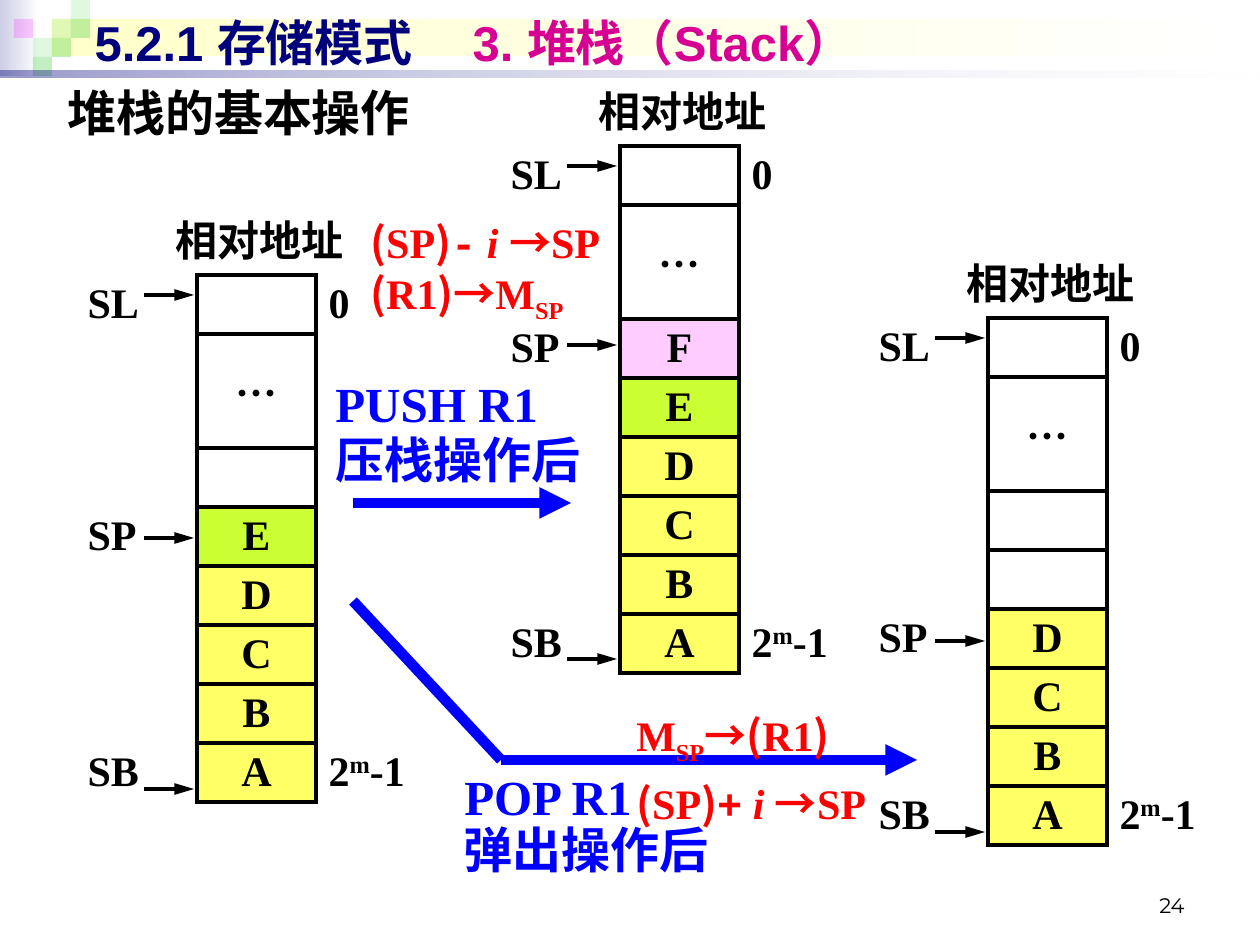
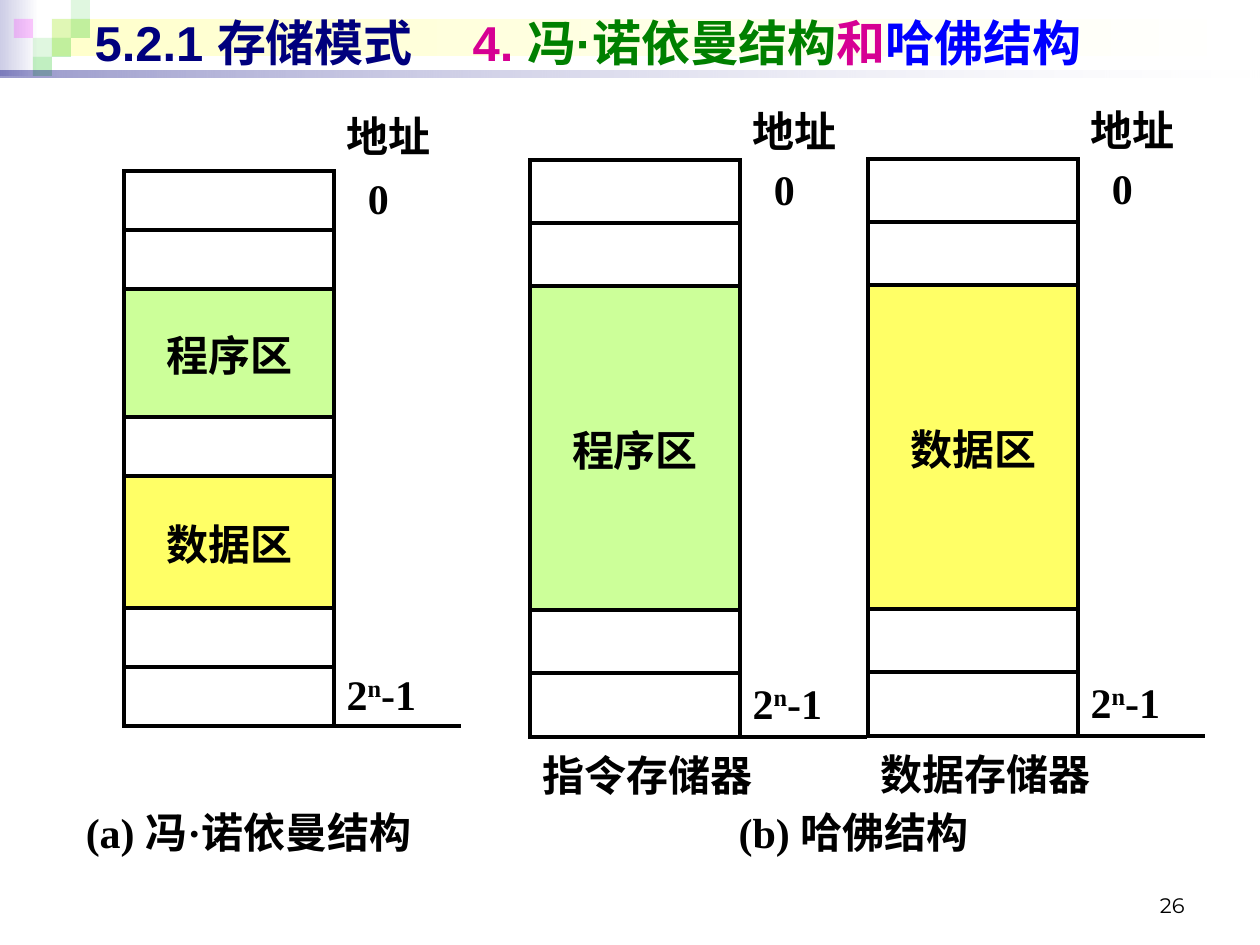
from pptx import Presentation
from lxml import etree
from pptx import util as u
from pptx.dml.color import RGBColor
from pptx.enum import shapes, text
from pptx.oxml import ns

# Palette and fonts
BLACK, WHITE = RGBColor(0, 0, 0), RGBColor(255, 255, 255)
NAVY, MAGENTA = RGBColor(0, 0, 0x7D), RGBColor(0xD6, 0, 0x93)
GREEN, BLUE, RED = RGBColor(0, 0x80, 0), RGBColor(0, 0, 255), RGBColor(255, 0, 0)
LAVENDER, CREAM = RGBColor(0xCD, 0xCD, 0xE6), RGBColor(0xFF, 0xFF, 0xCC)
LEAF, FUCHSIA = RGBColor(0x33, 0xCC, 0x33), RGBColor(255, 0, 255)
YELLOW, LIME = RGBColor(0xFF, 0xFF, 0x66), RGBColor(0xCC, 0xFF, 0x33)
PINK, MINT = RGBColor(0xFF, 0xCC, 0xFF), RGBColor(0xCC, 0xFF, 0x99)
TIMES, ARIAL, NOTO = "Times New Roman", "Arial", "Noto Sans CJK SC"
COURIER, MONTSERRAT = "Courier New", "Montserrat"
NO_STYLE = "{2D5ABB26-0587-4C30-8999-92F81FD0307C}"
RULE = 2.25

# Shared band: gradients (area, colours, opacities) and squares (column, row, colour, opacity)
GRADIENTS = [
    ((0, 0, 39, 76), (LAVENDER, WHITE), (100, 100)),
    ((52, 19, 1203, 37), (CREAM, WHITE), (100, 100)),
    ((0, 71, 1260, 7), (NAVY, WHITE), (40, 10)),
]
SQUARES = [(2, 1, LEAF, 15), (3, 0, LEAF, 15), (3, 1, LEAF, 30), (1, 2, LEAF, 15),
           (0, 1, FUCHSIA, 20), (2, 2, LEAF, 30), (1, 3, LEAF, 30)]
SQUARE = 19

# Slide titles: (text, colour)
CHAPTER = ("5.2.1 存储模式\t", NAVY)
STACK_TITLE = [CHAPTER, ("3. 堆栈（Stack）", MAGENTA)]
MEMORY_TITLE = [CHAPTER, ("4. ", MAGENTA), ("冯·诺依曼结构", GREEN),
                ("和", MAGENTA), ("哈佛结构", BLUE)]

# Stack diagrams: cells below the "…" row, row of SP, heights of the three arrows
STACK_COLS = (122, 119, 128)
STACK_ROWS = (73, 59, 114) + (59,) * 6
STACKS = [
    dict(at=(75, 202), cells=" EDCBA", sp=4, arrows=(93, 336, 587)),
    dict(at=(498, 73), cells="FEDCBA", sp=3, arrows=(93, 272, 586)),
    dict(at=(866, 245), cells="  DCBA", sp=5, arrows=(93, 396, 587)),
]
CELL_FILLS = {"F": PINK, "E": LIME, **dict.fromkeys("DCBA", YELLOW)}
FLOW_ARROWS = [((353, 503), (571, 503), True), ((353, 601), (501, 760), False),
               ((501, 760), (917, 760), True)]
OPERATIONS = [((323, 423), "压栈操作后"), ((452, 760), "POP R1"),
              ((323, 367), "PUSH R1"), ((451, 813), "弹出操作后")]

# Formulas: area, then lines of (pitch in points, spans); spans are (text, font, style)
STEP = [(" ", TIMES, ""), ("i ", TIMES, "i"), ("→", NOTO, ""), ("SP", TIMES, "")]
POINTER = [("(", NOTO, ""), ("SP", TIMES, ""), (")", NOTO, "")]
TOP_CELL = [("M", TIMES, ""), ("SP", TIMES, "sub")]
REGISTER = [("(", NOTO, ""), ("R1", TIMES, "")]
FORMULAS = [
    ((358, 210, 290, 115), [(29, POINTER + [("-", COURIER, "")] + STEP),
                            (33, REGISTER + [(")→", NOTO, "")] + TOP_CELL)]),
    ((624, 692, 290, 131), [(39, TOP_CELL + [("→", NOTO, "")] + REGISTER + [(")", NOTO, "")]),
                            (35, POINTER + [("+", COURIER, "")] + STEP)]),
]

# Memory maps: areas are {row: (label, fill)}
MEMORY_COLS = (210, 127)
SPLIT_ROWS = (63, 63, 63, 129, 63, 132, 63, 64, 73)
PROGRAM, DATA = ("程序区", MINT), ("数据区", YELLOW)
MEMORIES = [
    dict(at=(124, 98), rows=(73, 59, 59, 128, 59, 132, 59, 59, 59),
         areas={3: PROGRAM, 5: DATA}, joined=False, caption=""),
    dict(at=(530, 97), rows=SPLIT_ROWS, areas={3: PROGRAM}, joined=True, caption="指令存储器"),
    dict(at=(868, 96), rows=SPLIT_ROWS, areas={3: DATA}, joined=True, caption="数据存储器"),
]
CAPTIONS = [(35, "(a) 冯·诺依曼结构"), (640, "(b) 哈佛结构")]


def px(count):
    return u.Emu(round(count * 914400 / 126))


def add_span(para, words, font=TIMES, size=24, color=BLACK, style="", bold=True):
    span = para.add_run()
    span.text = words
    span.font.size, span.font.bold, span.font.name = u.Pt(size), bold, font
    span.font.color.rgb = color
    span.font.italic = style == "i" or None
    props = span.font._element
    etree.SubElement(props, ns.qn("a:ea")).set("typeface", NOTO)
    if style in ("sub", "sup"):
        props.set("baseline", "-25000" if style == "sub" else "30000")


def add_box(page, area, wrap=True):
    box = page.shapes.add_textbox(*map(px, area))
    box.text_frame.word_wrap = wrap
    return box.text_frame


def add_arrow(page, start, end, color, width, head=True, length="med"):
    line = page.shapes.add_connector(shapes.MSO_CONNECTOR.STRAIGHT, *map(px, start + end))
    line.line.color.rgb, line.line.width = color, u.Pt(width)
    if head:
        tail = etree.SubElement(line.line._get_or_add_ln(), ns.qn("a:tailEnd"))
        tail.set("type", "triangle")
        tail.set("len", length)
    etree.SubElement(line.element.spPr, ns.qn("a:effectLst"))


def add_band(page, layout):
    """Draw the title band and move it into the layout."""
    for holder in list(layout.placeholders):
        if holder.placeholder_format.idx:
            holder.element.getparent().remove(holder.element)
    squares = [((14 + col * SQUARE, row * SQUARE, SQUARE, SQUARE), (color,), (opacity,))
               for col, row, color, opacity in SQUARES]
    for place, (area, colors, opacities) in enumerate(GRADIENTS[:2] + squares + GRADIENTS[2:]):
        shape = page.shapes.add_shape(shapes.MSO_SHAPE.RECTANGLE, *map(px, area))
        shape.shadow.inherit = False
        shape.line.fill.background()
        if len(colors) == 1:
            shape.fill.solid()
            shape.fill.fore_color.rgb = colors[0]
        else:
            shape.fill.gradient()
            shape.fill.gradient_angle = 0
            for stop, color in zip(shape.fill.gradient_stops, colors):
                stop.color.rgb = color
        for mark, opacity in zip(shape.element.iter(ns.qn("a:srgbClr")), opacities):
            if opacity < 100:
                etree.SubElement(mark, ns.qn("a:alpha")).set("val", str(opacity * 1000))
        layout.shapes.element.insert(2 + place, shape.element)


def set_title(page, spans, number):
    title = page.shapes.title
    title.left, title.top, title.width, title.height = map(px, (82, 6, 1163, 72))
    frame = title.text_frame
    frame.auto_size = text.MSO_AUTO_SIZE.NONE
    frame.vertical_anchor = text.MSO_ANCHOR.MIDDLE
    para = frame.paragraphs[0]
    para.alignment = text.PP_ALIGN.LEFT
    for words, color in spans:
        add_span(para, words, ARIAL, 28, color)
    frame = add_box(page, (903, 861, 294, 63))
    frame.vertical_anchor = text.MSO_ANCHOR.BOTTOM
    frame.paragraphs[0].alignment = text.PP_ALIGN.RIGHT
    add_span(frame.paragraphs[0], number, MONTSERRAT, 12, bold=False)


def add_grid(page, at, cols, rows):
    frame = page.shapes.add_table(len(rows), len(cols), *map(px, at + (sum(cols), sum(rows))))
    for style in frame.element.iter(ns.qn("a:tableStyleId")):
        style.text = NO_STYLE
    grid = frame.table
    grid.first_row = grid.horz_banding = False
    for col, width in zip(grid.columns, cols):
        col.width = px(width)
    for row, height in zip(grid.rows, rows):
        row.height = px(height)
    for cell in grid.iter_cells():
        cell.fill.background()
        cell.vertical_anchor = text.MSO_ANCHOR.MIDDLE
        cell.margin_top = cell.margin_bottom = px(3)
    return grid


def set_borders(cell, sides="LRTB"):
    props = cell._tc.get_or_add_tcPr()
    for place, side in enumerate(sides):
        line = etree.Element(ns.qn("a:ln" + side), w=str(u.Pt(RULE)))
        fill = etree.SubElement(line, ns.qn("a:solidFill"))
        etree.SubElement(fill, ns.qn("a:srgbClr")).set("val", str(BLACK))
        props.insert(place, line)


def fill_cell(cell, words, font=TIMES, center=False, fill=None, power=""):
    para = cell.text_frame.paragraphs[0]
    para.alignment = text.PP_ALIGN.CENTER if center else text.PP_ALIGN.LEFT
    add_span(para, words, font)
    if power:
        add_span(para, power, style="sup")
        add_span(para, "-1")
    if fill is not None:
        cell.fill.solid()
        cell.fill.fore_color.rgb = fill


def add_stack(page, at, cells, sp, arrows):
    grid = add_grid(page, at, STACK_COLS, STACK_ROWS)
    last = len(STACK_ROWS) - 1
    grid.cell(0, 0).merge(grid.cell(0, 2))
    fill_cell(grid.cell(0, 0), "相对地址", center=True)
    for row, label in ((1, "SL"), (sp, "SP"), (last, "SB")):
        fill_cell(grid.cell(row, 0), label)
    fill_cell(grid.cell(1, 2), "0")
    fill_cell(grid.cell(last, 2), "2", power="m")
    fill_cell(grid.cell(2, 1), "…", NOTO, center=True)
    for row, letter in enumerate(cells, 3):
        if letter != " ":
            fill_cell(grid.cell(row, 1), letter, center=True, fill=CELL_FILLS[letter])
    for row in range(1, last + 1):
        set_borders(grid.cell(row, 0), "R")
        set_borders(grid.cell(row, 1))
        set_borders(grid.cell(row, 2), "L")
    left, top = at
    for drop in arrows:
        add_arrow(page, (left + 69, top + drop), (left + 119, top + drop), BLACK, RULE,
                  length="lg")


def add_memory(page, at, rows, areas, joined, caption):
    grid = add_grid(page, at, MEMORY_COLS, rows)
    last = len(rows) - 1
    for row in range(1, last):
        set_borders(grid.cell(row, 0))
        set_borders(grid.cell(row, 1), "L")
    for col in range(2):
        set_borders(grid.cell(last, col), "T")
    grid.cell(last, 0).merge(grid.cell(last, 1))
    if joined:
        grid.cell(3, 0).merge(grid.cell(5, 0))
    heading, zero = grid.cell(0, 1), grid.cell(1, 1)
    if joined:
        heading.margin_top, heading.margin_bottom = px(2), 0
    zero.margin_left = px(34)
    fill_cell(heading, "地址")
    fill_cell(zero, "0")
    fill_cell(grid.cell(last - 1, 1), "2", power="n")
    for row, (label, fill) in areas.items():
        fill_cell(grid.cell(row, 0), label, center=True, fill=fill)
    if caption:
        fill_cell(grid.cell(last, 0), caption)


def build_stack_page(page):
    set_title(page, STACK_TITLE, "24")
    add_span(add_box(page, (55, 76, 1182, 79)).paragraphs[0], "堆栈的基本操作", size=28)
    for stack in STACKS:
        add_stack(page, **stack)
    for start, end, head in FLOW_ARROWS:
        add_arrow(page, start, end, BLUE, 6, head)
    for at, words in OPERATIONS:
        add_span(add_box(page, at + (338, 79)).paragraphs[0], words, size=28, color=BLUE)
    for area, lines in FORMULAS:
        frame = add_box(page, area)
        for count, (pitch, spans) in enumerate(lines):
            para = frame.add_paragraph() if count else frame.paragraphs[0]
            para.line_spacing = u.Pt(pitch)
            for words, font, style in spans:
                add_span(para, words, font, color=RED, style=style)


def build_memory_page(page):
    set_title(page, MEMORY_TITLE, "26")
    for memory in MEMORIES:
        add_memory(page, **memory)
    for left, words in CAPTIONS:
        para = add_box(page, (left, 800, 427, 63)).paragraphs[0]
        para.alignment = text.PP_ALIGN.CENTER
        add_span(para, words)


def main():
    deck = Presentation()
    deck.slide_width, deck.slide_height = px(1260), px(945)
    layout = deck.slide_layouts[5]
    stack_page, memory_page = (deck.slides.add_slide(layout) for _ in range(2))
    add_band(stack_page, layout)
    build_stack_page(stack_page)
    build_memory_page(memory_page)
    deck.save("out.pptx")


if __name__ == "__main__":
    main()
